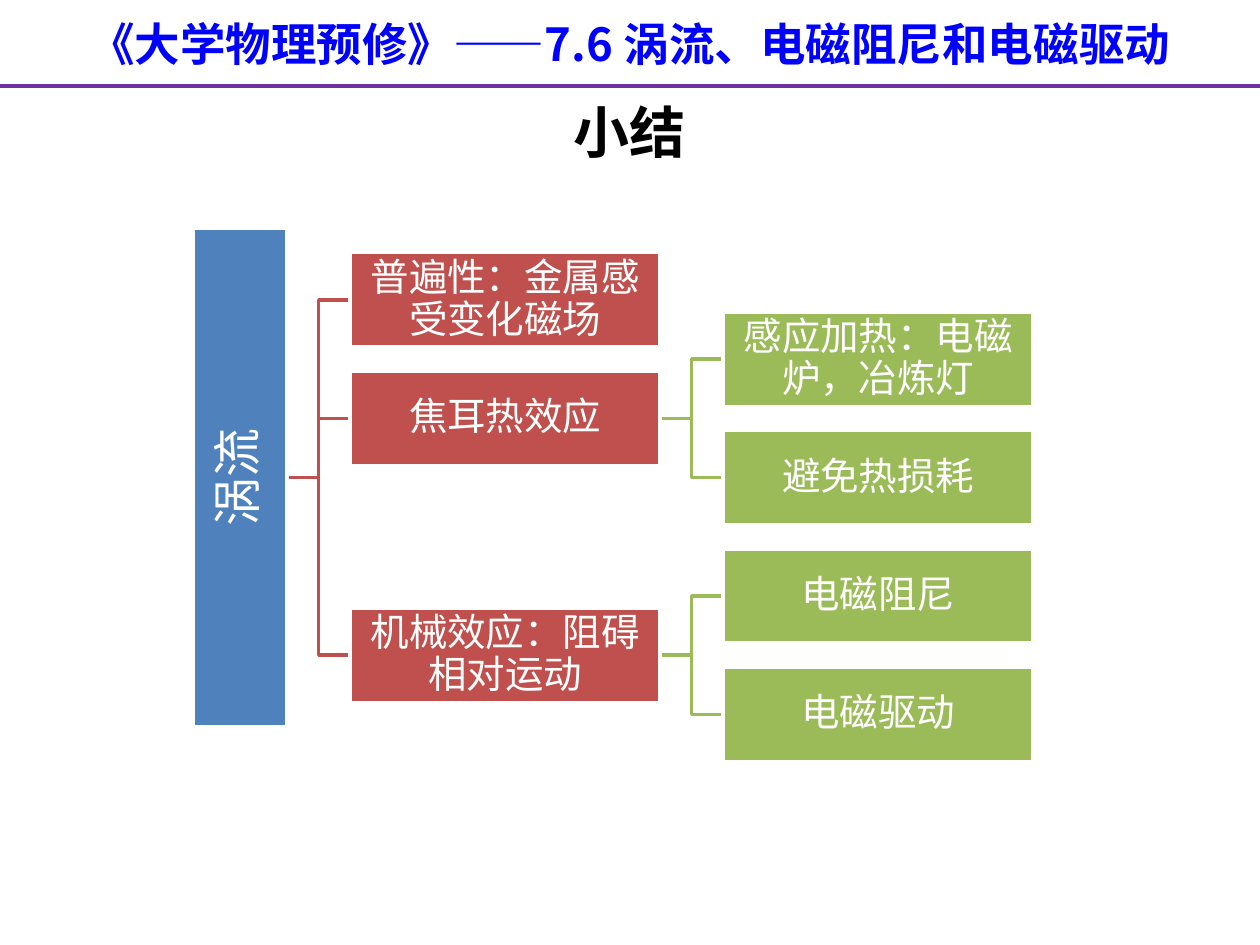
"""Build the summary slide on eddy currents as a three-level tree."""
from dataclasses import dataclass

import pptx
import pptx.dml.color
import pptx.enum.shapes
import pptx.enum.text
import pptx.oxml
import pptx.oxml.ns
import pptx.util
from pptx.util import Inches

RGBColor = pptx.dml.color.RGBColor
WHITE = RGBColor(0xFF, 0xFF, 0xFF)
BLACK = RGBColor(0, 0, 0)
BLUE = RGBColor(0, 0, 0xFF)
PURPLE = RGBColor(0x70, 0x30, 0xA0)
STEEL = RGBColor(0x4F, 0x81, 0xBD)
RED = RGBColor(0xC0, 0x50, 0x4D)
GREEN = RGBColor(0x9B, 0xBB, 0x59)

FACE = "Noto Sans CJK SC"
MIDDLE = pptx.enum.text.MSO_ANCHOR.MIDDLE
WIDE, HIGH, TRUNK = 2.46, 0.75, 3.95
TOP, STEP, GAP = 2.38, 0.47, 0.5
LEFTS = (1.53, 2.78, 5.74)
HUES = (STEEL, RED, GREEN)


@dataclass
class Node:
    """A box in the tree, with its level, row and parent row."""
    text: str
    level: int
    row: int
    root: int = 3


NODES = [
    Node("涡流", 0, 3),
    Node("普遍性：金属感受变化磁场", 1, 0),
    Node("焦耳热效应", 1, 2),
    Node("感应加热：电磁炉，冶炼灯", 2, 1, 2),
    Node("避免热损耗", 2, 3, 2),
    Node("机械效应：阻碍相对运动", 1, 6),
    Node("电磁阻尼", 2, 5, 6),
    Node("电磁驱动", 2, 7, 6),
]


def mid(row: int) -> float:
    """Return the height of the centre of a row."""
    return TOP + row * STEP


def write(frame, text: str, size: int, hue: RGBColor, bold: bool = False) -> None:
    """Put one centred line of styled text in a frame."""
    frame.word_wrap = True
    frame.text = text
    para = frame.paragraphs[0]
    para.alignment = pptx.enum.text.PP_ALIGN.CENTER
    font = para.font
    font.name, font.size, font.bold = FACE, pptx.util.Pt(size), bold
    font.color.rgb = hue
    east = pptx.oxml.parse_xml(
        f'<a:ea {pptx.oxml.ns.nsdecls("a")} typeface="{FACE}"/>')
    para._p.pPr.find(pptx.oxml.ns.qn("a:defRPr")).append(east)


def link(slide, node: Node) -> None:
    """Draw the elbow line from the parent to a node."""
    end = LEFTS[node.level]
    start, bend = end - GAP, end - GAP / 2
    low, high = mid(node.root), mid(node.row)
    build = slide.shapes.build_freeform(Inches(start), Inches(low))
    turns = [(bend, low), (bend, high), (end, high)]
    build.add_line_segments([(Inches(x), Inches(y)) for x, y in turns], close=False)
    elbow = build.convert_to_shape()
    elbow.shadow.inherit = False
    elbow.fill.background()
    elbow.line.color.rgb = HUES[node.level]
    elbow.line.width = pptx.util.Pt(2)


def box(slide, node: Node) -> None:
    """Draw a node as a filled box, upright for the trunk."""
    trunk = node.level == 0
    wide = TRUNK if trunk else WIDE
    left = LEFTS[node.level] - ((TRUNK - HIGH) / 2 if trunk else 0)
    shape = slide.shapes.add_shape(
        pptx.enum.shapes.MSO_SHAPE.RECTANGLE, Inches(left),
        Inches(mid(node.row) - HIGH / 2), Inches(wide), Inches(HIGH))
    shape.rotation = 270 if trunk else 0
    shape.shadow.inherit = False
    shape.fill.solid()
    shape.fill.fore_color.rgb = HUES[node.level]
    shape.line.color.rgb = WHITE
    shape.line.width = pptx.util.Pt(2)
    frame = shape.text_frame
    frame.margin_left = frame.margin_right = Inches(0.02)
    frame.margin_top = frame.margin_bottom = Inches(0.02)
    frame.vertical_anchor = MIDDLE
    write(frame, node.text, 28 if trunk else 22, WHITE)
    frame.paragraphs[0].line_spacing = 0.9


def header(slide) -> None:
    """Draw the course name and the rule below it."""
    text = slide.shapes.add_textbox(0, Inches(0.08), Inches(10), Inches(0.54))
    write(text.text_frame, "《大学物理预修》——7.6 涡流、电磁阻尼和电磁驱动", 26, BLUE, True)
    rule = slide.shapes.add_connector(
        pptx.enum.shapes.MSO_CONNECTOR.STRAIGHT,
        0, Inches(0.68), Inches(10), Inches(0.68))
    rule.line.color.rgb = PURPLE
    rule.line.width = pptx.util.Pt(2.25)
    rule._element.spPr.append(pptx.oxml.parse_xml(
        f'<a:effectLst {pptx.oxml.ns.nsdecls("a")}/>'))


def main() -> None:
    """Build and save the slide."""
    deck = pptx.Presentation()
    deck.slide_width, deck.slide_height = Inches(10), Inches(7.5)
    slide = deck.slides.add_slide(deck.slide_layouts[5])
    header(slide)
    title = slide.shapes.title
    title.left, title.top = Inches(0.5), Inches(0.69)
    title.width, title.height = Inches(9), Inches(0.7)
    title.text_frame.vertical_anchor = MIDDLE
    write(title.text_frame, "小结", 32, BLACK, True)
    for node in NODES[1:]:
        link(slide, node)
    for node in NODES:
        box(slide, node)
    deck.save("out.pptx")


if __name__ == "__main__":
    main()
